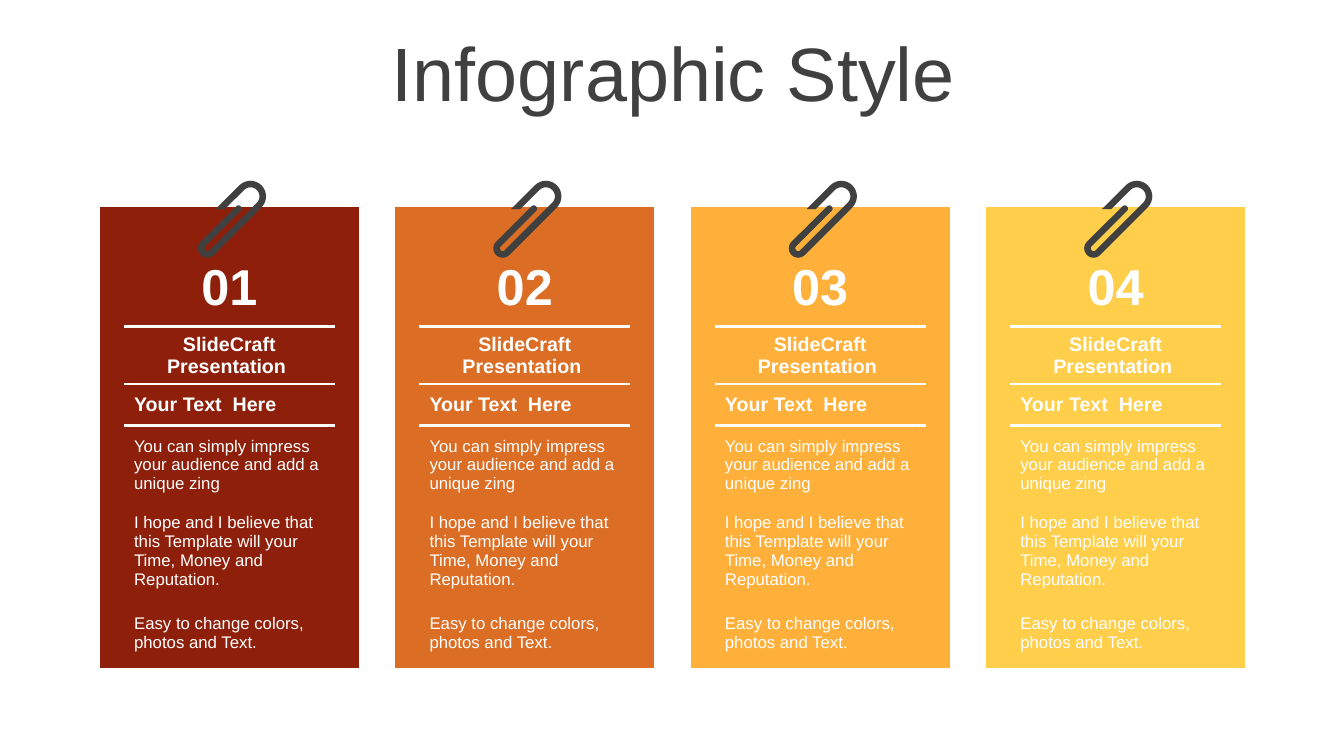
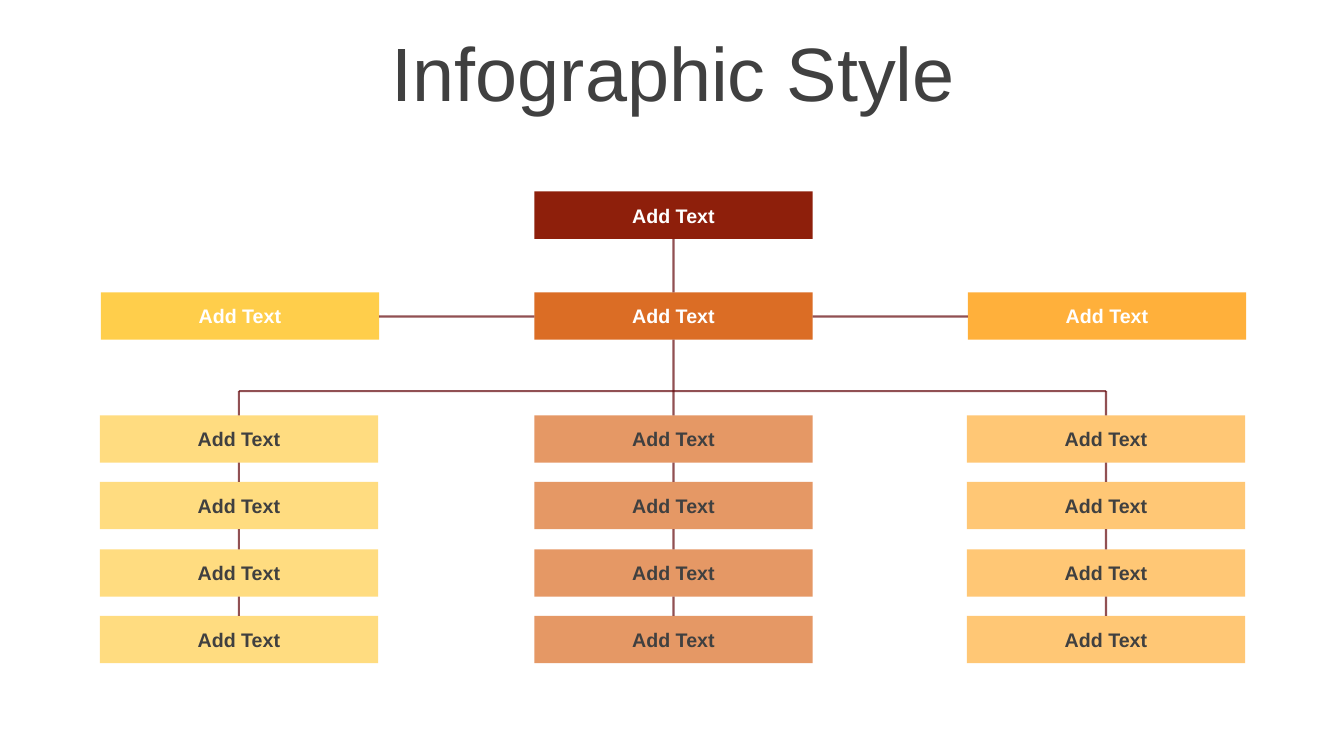
from math import cos, radians, sin

from pptx import Presentation
from pptx.dml.color import RGBColor
from pptx.enum.shapes import MSO_CONNECTOR as CONN, MSO_SHAPE as SHAPE
from pptx.enum.text import MSO_ANCHOR as ANCHOR, PP_ALIGN as ALIGN
from pptx.oxml.ns import qn
from pptx.util import Pt
from lxml.etree import SubElement

PX = 9144
FONT = "Arial"
WHITE, DARK, LINE = "FFFFFF", "404040", "63070A"
RED, ORANGE, AMBER, YELLOW = "8E1F0B", "DB6D25", "FFB03B", "FFCE4B"
NO_GRID = "{2D5ABB26-0587-4C30-8999-92F81FD0307C}"


def rgb(value):
    return RGBColor.from_string(value)


def arc(cx, cy, radius, start, end):
    steps = 16
    angles = [radians(start + (end - start) * i / steps) for i in range(steps + 1)]
    return [(round(cx + radius * cos(a)), round(cy + radius * sin(a))) for a in angles]


class Deck:
    """Holds the shared style and the slide being drawn."""

    def __init__(self):
        self.prs = Presentation()
        self.prs.slide_width, self.prs.slide_height = 1333 * PX, 750 * PX
        self.s = None

    def slide(self, title):
        self.s = self.prs.slides.add_slide(self.prs.slide_layouts[6])
        tf = self.s.shapes.add_textbox(*self.emu(35, 37, 1266, 79)).text_frame
        tf.word_wrap = True
        tf.vertical_anchor = ANCHOR.MIDDLE
        self.label(tf, title, 54, DARK, bold=False)
        tf.paragraphs[0].line_spacing = 0.9

    def emu(self, *lengths):
        return [n * PX for n in lengths]

    def label(self, tf, text, size, color, bold=True, align=ALIGN.CENTER):
        p = tf.paragraphs[0]
        p.text = text
        p.alignment = align
        font = p.runs[0].font
        font.name, font.size, font.bold = FONT, Pt(size), bold
        font.color.rgb = rgb(color)

    def paint(self, fill, color, opacity=100):
        fill.solid()
        fill.fore_color.rgb = rgb(color)
        if opacity < 100:
            clr = fill._xPr.find(qn("a:solidFill")).find(qn("a:srgbClr"))
            SubElement(clr, qn("a:alpha"), val=str(opacity * 1000))

    def box(self, x, y, w, h, text, color, text_color=WHITE, opacity=100):
        sp = self.s.shapes.add_shape(SHAPE.RECTANGLE, *self.emu(x, y, w, h))
        sp.shadow.inherit = False
        sp.line.fill.background()
        self.paint(sp.fill, color, opacity)
        sp.text_frame.vertical_anchor = ANCHOR.MIDDLE
        self.label(sp.text_frame, text, 14, text_color)

    def line(self, x1, y1, x2, y2):
        cn = self.s.shapes.add_connector(CONN.STRAIGHT, *self.emu(x1, y1, x2, y2))
        cn.line.width = Pt(1.5)
        self.paint(cn.line.fill, LINE, 70)
        SubElement(cn.element.spPr, qn("a:effectLst"))

    def border(self, cell, side):
        ln = SubElement(cell._tc.get_or_add_tcPr(), qn(f"a:ln{side}"), w=str(Pt(2.25)))
        SubElement(SubElement(ln, qn("a:solidFill")), qn("a:srgbClr"), val=WHITE)

    def card(self, x, y, cols, rows, color):
        frame = self.s.shapes.add_table(
            len(rows), len(cols), *self.emu(x, y, sum(cols), sum(r[0] for r in rows)))
        table = frame.table
        table.first_row = table.horz_banding = False
        table._tbl.tblPr.find(qn("a:tableStyleId")).text = NO_GRID
        for column, width in zip(table.columns, cols):
            column.width = width * PX
        for i, (height, text, size, bold, align, sides) in enumerate(rows):
            table.rows[i].height = height * PX
            middle = table.cell(i, 1)
            for side in sides:
                self.border(middle, side)
            if text:
                middle.vertical_anchor = ANCHOR.MIDDLE
                self.label(middle.text_frame, text, size, WHITE, bold, align)
            for cell in table.rows[i].cells:
                self.paint(cell.fill, color)

    def clip(self, x, y):
        outline = [
            (-155, 35), *arc(0, -300, 155, 180, 360), *arc(62, 367, 93, 0, 180),
            *arc(2, -130, 32, 180, 360), *arc(62, 367, 28, 180, 0),
            *arc(0, -300, 90, 360, 180), (-90, -30),
        ]
        builder = self.s.shapes.build_freeform(*outline[0], scale=PX / 10)
        builder.add_line_segments(outline[1:], close=True)
        sp = builder.convert_to_shape(*self.emu(x, y))
        sp.rotation = 45
        sp.shadow.inherit = False
        sp.line.fill.background()
        self.paint(sp.fill, DARK)


def cards_slide(deck):
    deck.slide("Infographic Style")
    cols = (24, 209, 23)
    for i, color in enumerate((RED, ORANGE, AMBER, YELLOW)):
        rows = [
            (42, "", 18, False, ALIGN.LEFT, ""),
            (77, f"{i + 1:02}", 36, True, ALIGN.CENTER, "B"),
            (57, "SlideCraft Presentation ", 14, True, ALIGN.CENTER, "TB"),
            (41, "Your Text  Here", 14, True, ALIGN.LEFT, "T"),
            (79, "You can simply impress your audience and add a unique zing",
             12, False, ALIGN.LEFT, ""),
            (92, "I hope and I believe that this Template will your Time, "
                 "Money and Reputation.", 12, False, ALIGN.LEFT, ""),
            (70, "Easy to change colors, photos and Text.", 12, False, ALIGN.LEFT, ""),
        ]
        x = 99 + 293 * i
        deck.card(x, 205, cols, rows, color)
        deck.clip(x + sum(cols) // 2, 216)


def chart_slide(deck):
    deck.slide("Infographic Style")
    label, w, h = "Add Text", 276, 47
    left, mid, right = 100, 530, 960
    top, second, rail = 190, 290, 388
    for x, y, color in ((mid, top, RED), (mid, second, ORANGE),
                        (right, second, AMBER), (left, second, YELLOW)):
        deck.box(x, y, w, h, label, color)

    columns = {left - 1: YELLOW, mid: ORANGE, right - 1: AMBER}
    levels = [round(412 + 66.4 * i) for i in range(4)]
    for x, color in columns.items():
        for y in levels:
            deck.box(x, y, w, h, label, color, DARK, 70)

    centers = [x + w // 2 for x in columns]
    axis, side = centers[1], second + h // 2 + 1
    deck.line(axis, top + h, axis, second)
    deck.line(left + w, side, mid, side)
    deck.line(mid + w, side, right, side)
    deck.line(centers[0], rail, centers[2], rail)
    for x in centers:
        deck.line(x, second + h if x == axis else rail, x, levels[0])
        for upper, lower in zip(levels, levels[1:]):
            deck.line(x, upper + h, x, lower)


def main():
    deck = Deck()
    cards_slide(deck)
    chart_slide(deck)
    deck.prs.save("out.pptx")


if __name__ == "__main__":
    main()
